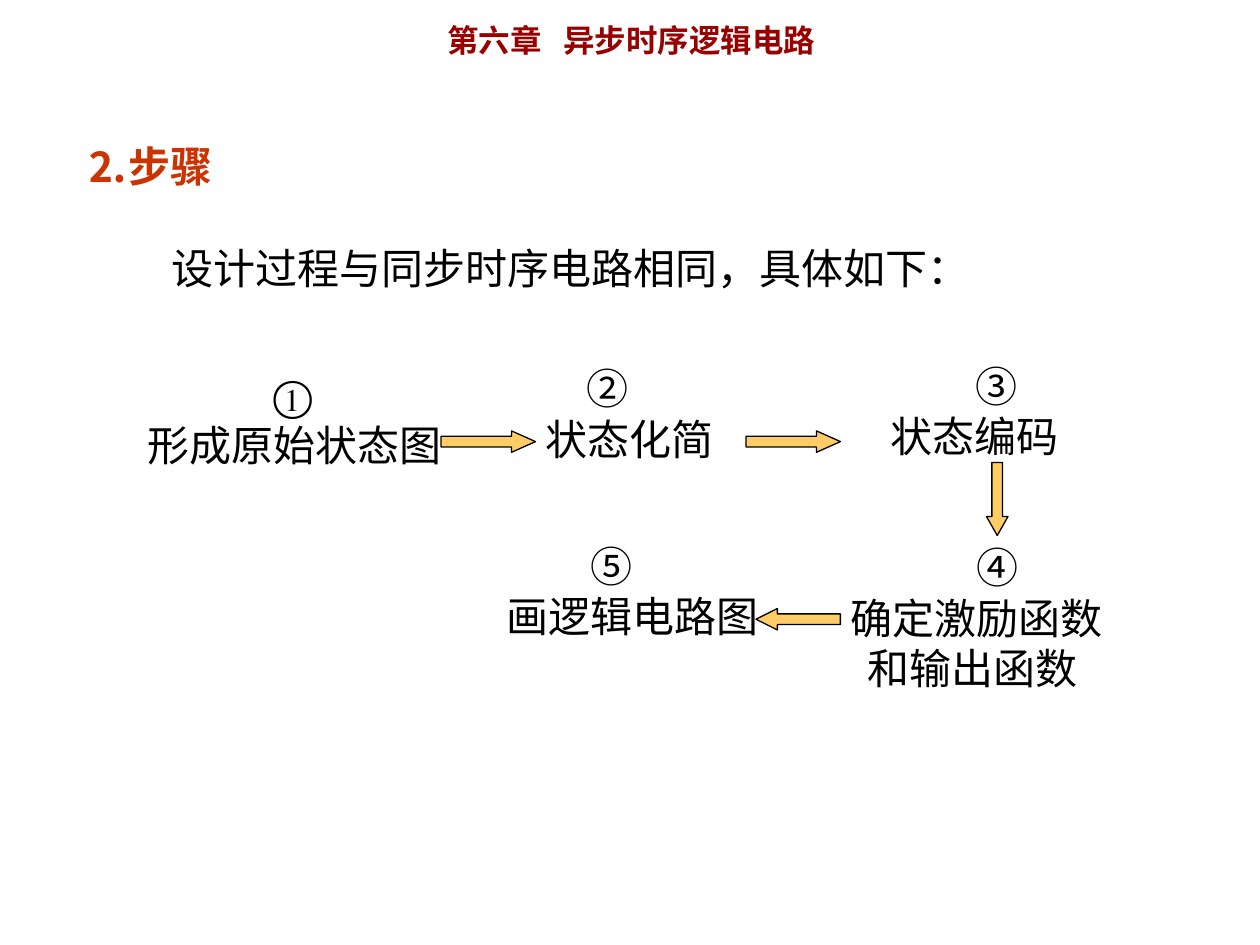
from pptx import Presentation
from pptx import util as u
from pptx.dml.color import RGBColor
from pptx.enum import shapes, text
from pptx.oxml.ns import qn
from lxml import etree

BLACK = RGBColor(0x00, 0x00, 0x00)
DARK_RED = RGBColor(0x99, 0x00, 0x00)
ORANGE_RED = RGBColor(0xCC, 0x33, 0x00)
GOLD = RGBColor(0xFF, 0xCC, 0x66)

LATIN_FONT = "Times New Roman"
CJK_FONT = "Noto Sans CJK JP"

CHAPTER = dict(size=u.Pt(18), name=CJK_FONT, bold=True, color=DARK_RED)
HEADING = dict(size=u.Pt(24), name=LATIN_FONT, bold=True, color=ORANGE_RED)
BODY = dict(size=u.Pt(24), name=LATIN_FONT, bold=False, color=BLACK)
NUMBER = dict(BODY, name=CJK_FONT)

# left, top, width, lines as (indent, text, format)
STEPS = [
    (0.99, 2.88, 2.62, [(1.08, "①", BODY), (0.08, "形成原始状态图", BODY)]),
    (4.23, 2.83, 1.53, [(0.33, "②", NUMBER), (0, "状态化简", BODY)]),
    (6.97, 2.81, 1.53, [(0.67, "③", NUMBER), (0, "状态编码", BODY)]),
    (3.92, 4.24, 2.27, [(0.67, "⑤", NUMBER), (0, "画逻辑电路图", BODY)]),
    (6.65, 4.25, 2.35, [(1, "④", NUMBER), (0, "确定激励函数", BODY),
                        (0.14, "和输出函数", BODY)]),
]

# preset, left, top, width, height, head length
ARROWS = [
    (shapes.MSO_SHAPE.RIGHT_ARROW, 3.5, 3.42, 0.75, 0.17, 1.12),
    (shapes.MSO_SHAPE.RIGHT_ARROW, 5.92, 3.42, 0.75, 0.17, 1.12),
    (shapes.MSO_SHAPE.DOWN_ARROW, 7.83, 3.67, 0.17, 0.58, 0.88),
    (shapes.MSO_SHAPE.LEFT_ARROW, 6, 4.83, 0.67, 0.17, 1),
]


class SlideBuilder:
    def __init__(self, slide):
        self.slide = slide

    def style(self, paragraph, values):
        for name, value in values.items():
            if name == "color":
                paragraph.font.color.rgb = value
            else:
                setattr(paragraph.font, name, value)

    def frame(self, shape, wrap=True):
        frame = shape.text_frame
        settings = dict(word_wrap=wrap, auto_size=text.MSO_AUTO_SIZE.NONE,
                        vertical_anchor=text.MSO_ANCHOR.TOP)
        for name, value in settings.items():
            setattr(frame, name, value)
        return frame

    def title(self, wording, left, top, width, height, tab):
        """Fill the title; its two parts are set apart by a tab stop."""
        shape = self.slide.shapes.title
        shape.left, shape.top = u.Inches(left), u.Inches(top)
        shape.width, shape.height = u.Inches(width), u.Inches(height)
        paragraph = self.frame(shape).paragraphs[0]
        paragraph.text = wording
        paragraph.alignment = text.PP_ALIGN.LEFT
        properties = paragraph._p.get_or_add_pPr()
        tabs = etree.SubElement(properties, qn("a:tabLst"))
        etree.SubElement(tabs, qn("a:tab"), pos=str(u.Inches(tab)), algn="l")
        self.style(paragraph, CHAPTER)

    def lines(self, left, top, width, height, lines, gap=0):
        """Add a text box of (indent, text, format) lines, gap points apart."""
        box = self.slide.shapes.add_textbox(
            u.Inches(left), u.Inches(top), u.Inches(width), u.Inches(height))
        frame = self.frame(box)
        for number, (indent, wording, values) in enumerate(lines):
            paragraph = frame.add_paragraph() if number else frame.paragraphs[0]
            paragraph.text = wording
            if number and gap:
                paragraph.space_before = u.Pt(gap)
            if indent:
                paragraph._p.get_or_add_pPr().set("marL", str(u.Inches(indent)))
            self.style(paragraph, values)

    def arrow(self, preset, left, top, width, height, head):
        shape = self.slide.shapes.add_shape(
            preset, u.Inches(left), u.Inches(top), u.Inches(width), u.Inches(height))
        shape.adjustments[0] = 0.5
        shape.adjustments[1] = head
        shape.shadow.inherit = False
        shape.fill.solid()
        shape.fill.fore_color.rgb = GOLD
        shape.line.color.rgb = BLACK
        shape.line.width = u.Pt(0.75)


def main():
    presentation = Presentation()
    presentation.slide_width, presentation.slide_height = u.Inches(10), u.Inches(7.5)
    slide = presentation.slides.add_slide(presentation.slide_layouts[5])
    builder = SlideBuilder(slide)
    builder.title("第六章\t异步时序逻辑电路", 3.45, 0.12, 3.68, 0.4, tab=0.92)
    builder.lines(0.59, 1.07, 7.4, 1.3, [
        (0, "⒉步骤", HEADING),
        (0.67, "设计过程与同步时序电路相同，具体如下：", BODY),
    ], gap=29)
    for left, top, width, lines in STEPS:
        builder.lines(left, top, width, 0.1 + 0.4 * len(lines), lines)
    for arrow in ARROWS:
        builder.arrow(*arrow)
    presentation.save("out.pptx")


if __name__ == "__main__":
    main()
